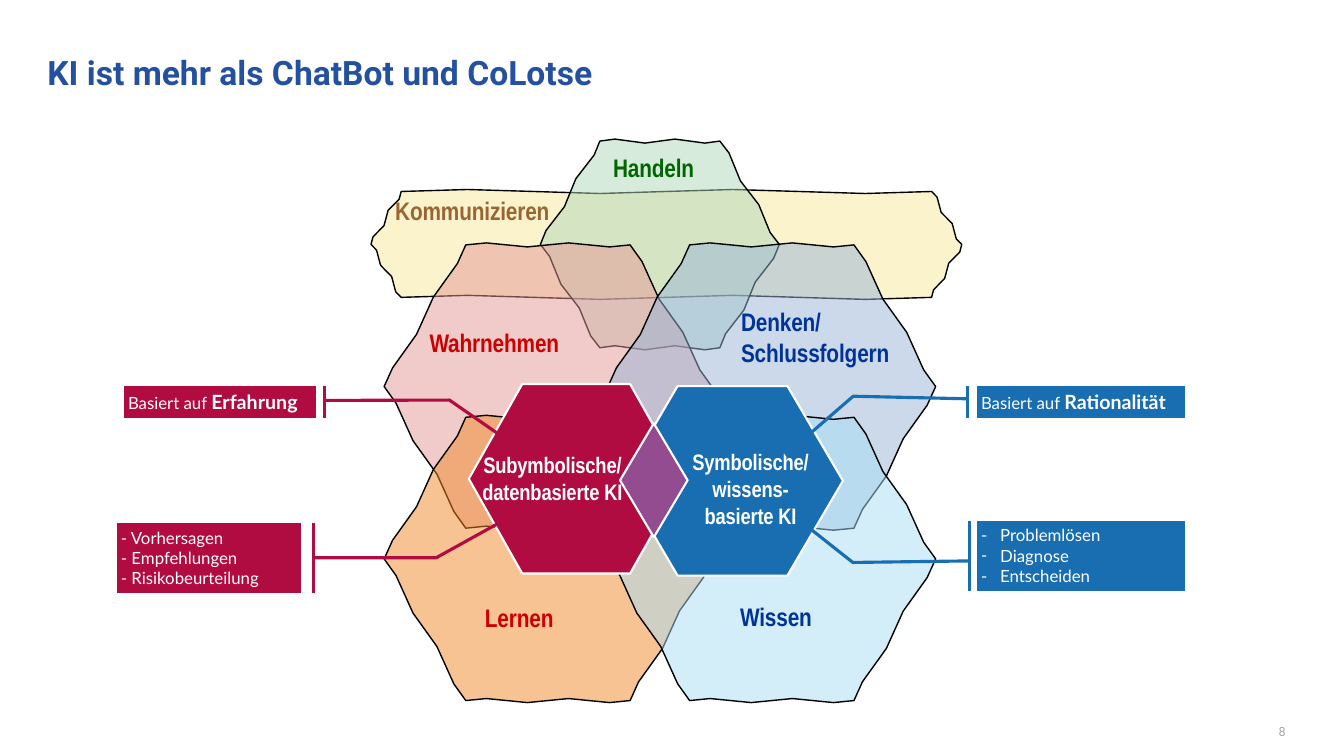
from itertools import pairwise
from math import hypot, pi, sin

from lxml.etree import SubElement
from pptx import Presentation
from pptx.dml.color import RGBColor as RGB
from pptx.enum.shapes import MSO_SHAPE as Kind
from pptx.enum.text import MSO_ANCHOR as Anchor, PP_ALIGN as Align
from pptx.oxml.ns import qn
from pptx.util import Inches, Pt

WHITE = RGB(0xFF, 0xFF, 0xFF)
BLACK = RGB(0, 0, 0)
GRAY = RGB(0xA6, 0xA6, 0xA6)
NAVY = RGB(0x24, 0x51, 0x9F)
CRIMSON = RGB(0xB0, 0x0C, 0x42)
BLUE = RGB(0x18, 0x6E, 0xB0)
PURPLE = RGB(0x93, 0x4C, 0x8F)
YELLOW = RGB(0xF8, 0xE8, 0x99)
MINT = RGB(0xB1, 0xD8, 0xBC)
ROSE = RGB(0xE5, 0x97, 0x96)
STEEL = RGB(0x98, 0xB4, 0xD8)
ORANGE = RGB(0xF0, 0x89, 0x27)
SKY = RGB(0xA9, 0xDD, 0xF4)
BROWN = RGB(0x99, 0x66, 0x33)
RED = RGB(0xCC, 0, 0)
INK = RGB(0, 0x33, 0x99)
GREEN = RGB(0, 0x66, 0)

# Grid of the four large fields: first column and row, pitch, field size
LEFT, TOP = 3.81, 2.43
COL, ROW = 2.22, 1.71
WIDE, HIGH = 3.25, 2.81
CUT = 0.81


def cell(col, row):
    return LEFT + col * COL, TOP + row * ROW, WIDE, HIGH


# Box, corner cut, fill, label, label colour, label box in the field
FIELDS = [
    ((3.68, 1.9, 5.86, 1.05), 0.3, YELLOW, "Kommunizieren", BROWN,
     (0.24, 0.01, 1.64, 0.33)),
    ((5.36, 1.4, 2.37, 2.05), 0.59, MINT, "Handeln", GREEN, (0.72, 0.08, 1.08, 0.33)),
    (cell(0, 0), CUT, ROSE, "Wahrnehmen", RED, (0.45, 0.79, 1.48, 0.33)),
    (cell(1, 0), CUT, STEEL, "Denken/\vSchlussfolgern", INK, (1.32, 0.58, 1.56, 0.64)),
    (cell(0, 1), CUT, ORANGE, "Lernen", RED, (1, 1.8, 0.93, 0.33)),
    (cell(1, 1), CUT, SKY, "Wissen", INK, (1.31, 1.79, 1.03, 0.31)),
]

# Box, colour, lines, bold ending, real bullets, callout adjustments
NOTES = [
    ((9.69, 3.83, 2.06, 0.32), BLUE, ["Basiert auf "], "Rationalität", False,
     (0.395, -0.046, 0.315, -0.596, 2.14, -0.923)),
    ((9.69, 5.17, 2.06, 0.69), BLUE, ["Problemlösen", "Diagnose", "Entscheiden"], "", True,
     (0.572, -0.036, 0.594, -0.598, -0.057, -0.873)),
    ((1.23, 3.83, 1.9, 0.32), CRIMSON, ["Basiert auf "], "Erfahrung", False,
     (0.446, 1.047, 0.435, 1.699, 1.751, 2.019)),
    ((1.16, 5.19, 1.83, 0.69), CRIMSON,
     ["- Vorhersagen", "- Empfehlungen", "- Risikobeurteilung"], "", False,
     (0.497, 1.066, 0.497, 1.731, -0.212, 2.213)),
]


def style(font, name, size, color, bold=False):
    font.name, font.size, font.bold = name, Pt(size), bold
    font.color.rgb = color


def paint(shape, fill, line, width):
    shape.shadow.inherit = False
    shape.fill.solid()
    shape.fill.fore_color.rgb = fill
    shape.line.color.rgb = line
    shape.line.width = Pt(width)


def inset(frame, side, top):
    frame.margin_left = frame.margin_right = Inches(side)
    frame.margin_top = frame.margin_bottom = Inches(top)
    frame.vertical_anchor = Anchor.TOP
    frame.word_wrap = True


def wavy(start, end, swing, waves=2, steps=8):
    """Points after start up to end, swinging around the straight edge."""
    (x, y), (u, v) = start, end
    size = hypot(u - x, v - y)
    for i in range(1, steps + 1):
        t = i / steps
        off = swing * sin(2 * pi * waves * t) / size
        yield x + (u - x) * t + (v - y) * off, y + (v - y) * t - (u - x) * off


def hexagon(slide, box, cut, swing=0):
    x, y, w, h = box
    mid = y + h / 2
    ends = [(x, mid), (x + cut, y), (x + w - cut, y), (x + w, mid),
            (x + w - cut, y + h), (x + cut, y + h), (x, mid)]
    spots = ends[1:]
    if swing:
        spots = [p for a, b in pairwise(ends) for p in wavy(a, b, swing)]
    pen = slide.shapes.build_freeform(Inches(x), Inches(mid))
    pen.add_line_segments([(Inches(a), Inches(b)) for a, b in spots[:-1]], close=True)
    return pen.convert_to_shape()


def label(slide, box, text, size, color, align=Align.LEFT, top=0):
    frame = slide.shapes.add_textbox(*map(Inches, box)).text_frame
    inset(frame, 0, top)
    frame.text = text
    para = frame.paragraphs[0]
    para.alignment = align
    for run in para.runs:
        style(run.font, "Arial Narrow", size, color, True)
        run.font._element.set("spc", "-10")


def fields(slide):
    for box, cut, fill, *_ in FIELDS:
        shape = hexagon(slide, box, cut, 0.02)
        paint(shape, fill, BLACK, 1)
        tint = shape._element.spPr.find(qn("a:solidFill"))[0]
        SubElement(tint, qn("a:alpha"), val="50000")
    for (x, y, *_), _, _, text, color, (dx, dy, w, h) in FIELDS:
        label(slide, (x + dx, y + dy, w, h), text, 18.1, color, top=0.03)


def core(slide, box, cut, fill):
    paint(hexagon(slide, box, cut), fill, WHITE, 1.5)


def cores(slide, x, y):
    """The two central kinds of AI and their overlap, from the left top corner."""
    core(slide, (x, y, 2.13, 1.88), 0.53, CRIMSON)
    label(slide, (x + 0.04, y + 0.67, 1.58, 1.08),
          "Subymbolische/\vdatenbasierte KI", 16, WHITE, Align.CENTER)
    core(slide, (x + 1.52, y + 0.02, 2.19, 1.88), 0.55, BLUE)
    gem = slide.shapes.add_shape(
        Kind.DIAMOND, *map(Inches, (x + 1.5, y + 0.39, 0.67, 1.13)))
    paint(gem, PURPLE, WHITE, 1.5)
    label(slide, (x + 1.76, y + 0.64, 2.07, 0.81),
          "Symbolische/\vwissens-\vbasierte KI", 16, WHITE, Align.CENTER)


def note(slide, box, color, lines, strong, dots, bends):
    shape = slide.shapes.add_shape(Kind.LINE_CALLOUT_2_ACCENT_BAR, *map(Inches, box))
    for i, bend in enumerate(bends):
        shape.adjustments[i] = bend
    paint(shape, color, color, 2.25)
    frame = shape.text_frame
    inset(frame, 0.04, 0.04)
    frame.text = "\n".join(lines)
    for para in frame.paragraphs:
        para.alignment = Align.LEFT
        if dots:
            props = para._p.get_or_add_pPr()
            props.set("marL", str(Inches(0.19)))
            props.set("indent", str(-Inches(0.19)))
            SubElement(props, qn("a:buFont"), typeface="Lato")
            SubElement(props, qn("a:buChar"), char="-")
        style(para.runs[0].font, "Lato", 12, WHITE)
    if strong:
        run = frame.paragraphs[0].add_run()
        run.text = strong
        style(run.font, "Lato", 14, WHITE, True)


def heading(slide, box, text):
    title = slide.shapes.title
    title.left, title.top, title.width, title.height = map(Inches, box)
    frame = title.text_frame
    frame.text = text
    frame.vertical_anchor = Anchor.MIDDLE
    frame.paragraphs[0].alignment = Align.LEFT
    style(frame.paragraphs[0].runs[0].font, "Roboto", 24, NAVY, True)


def folio(slide, box, text):
    frame = slide.shapes.add_textbox(*map(Inches, box)).text_frame
    inset(frame, 0.1, 0.05)
    frame.text = text
    frame.paragraphs[0].alignment = Align.RIGHT
    style(frame.paragraphs[0].runs[0].font, "Roboto", 9, GRAY)


def main():
    deck = Presentation()
    deck.slide_width, deck.slide_height = Inches(13.33), Inches(7.5)
    slide = deck.slides.add_slide(deck.slide_layouts[5])
    heading(slide, (0.37, 0.44, 10.47, 0.54), "KI ist mehr als ChatBot und CoLotse")
    fields(slide)
    cores(slide, 4.65, 3.81)
    for entry in NOTES:
        note(slide, *entry)
    folio(slide, (9.85, 7.13, 3, 0.4), "8")
    deck.save("out.pptx")


if __name__ == "__main__":
    main()
